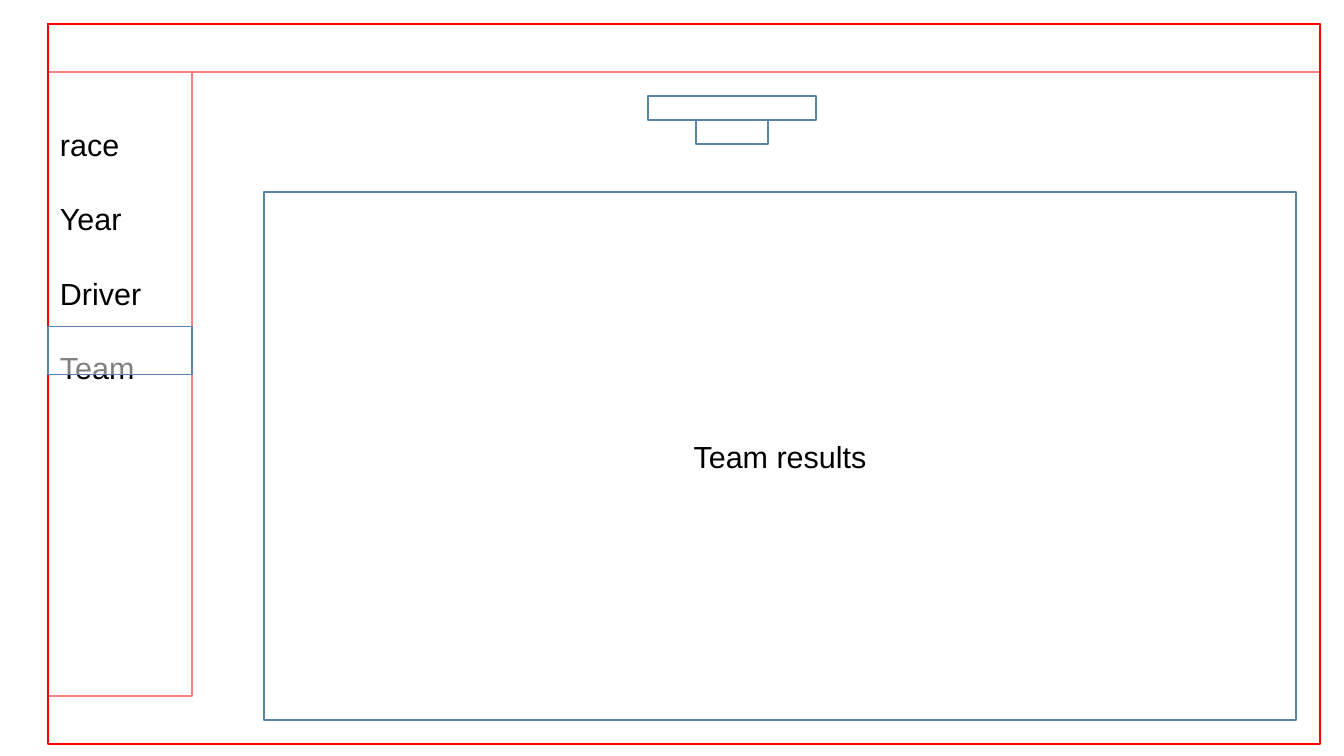
from lxml.etree import SubElement
from pptx import Presentation
from pptx.dml.color import RGBColor as Rgb
from pptx.enum.shapes import MSO_SHAPE as Preset
from pptx.enum.text import MSO_ANCHOR as Anchor, PP_ALIGN as Align
from pptx.oxml.ns import qn
from pptx.util import Cm, Pt

MENU = ["race", "Year", "Driver", "Team"]
RESULTS = "Team results"

THEME = {
    "paper": Rgb.from_string("FFFFFF"),
    "frame": Rgb.from_string("FF0000"),
    "panel": Rgb.from_string("5983B0"),
    "text": Rgb.from_string("000000"),
    "font": "Arial",
    "size": Pt(18),
    "menu_gap": Pt(22.4),
    "veil": 50,
}

# Left, top, width and height in centimetres
LEFT, TOP, WIDTH, HEIGHT = 1, 0.5, 26.5, 15
BAR, SIDE = 1, 3
SIDEBAR = (LEFT, TOP + BAR, SIDE, 13)
HEADER = (LEFT, TOP, WIDTH, BAR)
WINDOW = (LEFT, TOP, WIDTH, HEIGHT)
MENU_AREA = (LEFT, 2.5, SIDE, 6.65)
TITLE = (13.5, 2, 3.5, 0.5)
SUBTITLE = (14.5, 2.5, 1.5, 0.5)
RESULTS_AREA = (5.5, 4, 21.5, 11)
SELECTED = (LEFT, 6.8, SIDE, BAR)


def add_box(page, area, line, opacity=100):
    box = page.shapes.add_shape(Preset.RECTANGLE, *map(Cm, area))
    box.shadow.inherit = False
    box.fill.solid()
    box.fill.fore_color.rgb = THEME["paper"]
    box.line.color.rgb = THEME[line]
    box.line.width = Pt(0)
    if opacity < 100:
        color = box.fill._xPr.find(qn("a:solidFill"))[0]
        SubElement(color, qn("a:alpha")).set("val", str(opacity * 1000))
    return box


def write(para, text, align):
    para.text = text
    para.alignment = align
    for span in para.runs:
        span.font.name = THEME["font"]
        span.font.size = THEME["size"]
        span.font.color.rgb = THEME["text"]


def add_menu(page):
    frame = page.shapes.add_textbox(*map(Cm, MENU_AREA)).text_frame
    frame.word_wrap = True
    for index, entry in enumerate(MENU):
        para = frame.add_paragraph() if index else frame.paragraphs[0]
        write(para, entry, Align.LEFT)
        if index:
            para.space_before = THEME["menu_gap"]


def add_results(page):
    frame = add_box(page, RESULTS_AREA, "panel").text_frame
    frame.word_wrap = False
    frame.vertical_anchor = Anchor.MIDDLE
    write(frame.paragraphs[0], RESULTS, Align.CENTER)


def main():
    deck = Presentation()
    deck.slide_width, deck.slide_height = Cm(28), Cm(15.75)
    page = deck.slides.add_slide(deck.slide_layouts[6])
    add_box(page, SIDEBAR, "frame")
    add_box(page, HEADER, "frame")
    add_box(page, WINDOW, "frame", THEME["veil"])
    add_menu(page)
    add_box(page, TITLE, "panel")
    add_box(page, SUBTITLE, "panel")
    add_results(page)
    add_box(page, SELECTED, "panel", THEME["veil"])
    deck.save("out.pptx")


if __name__ == "__main__":
    main()
